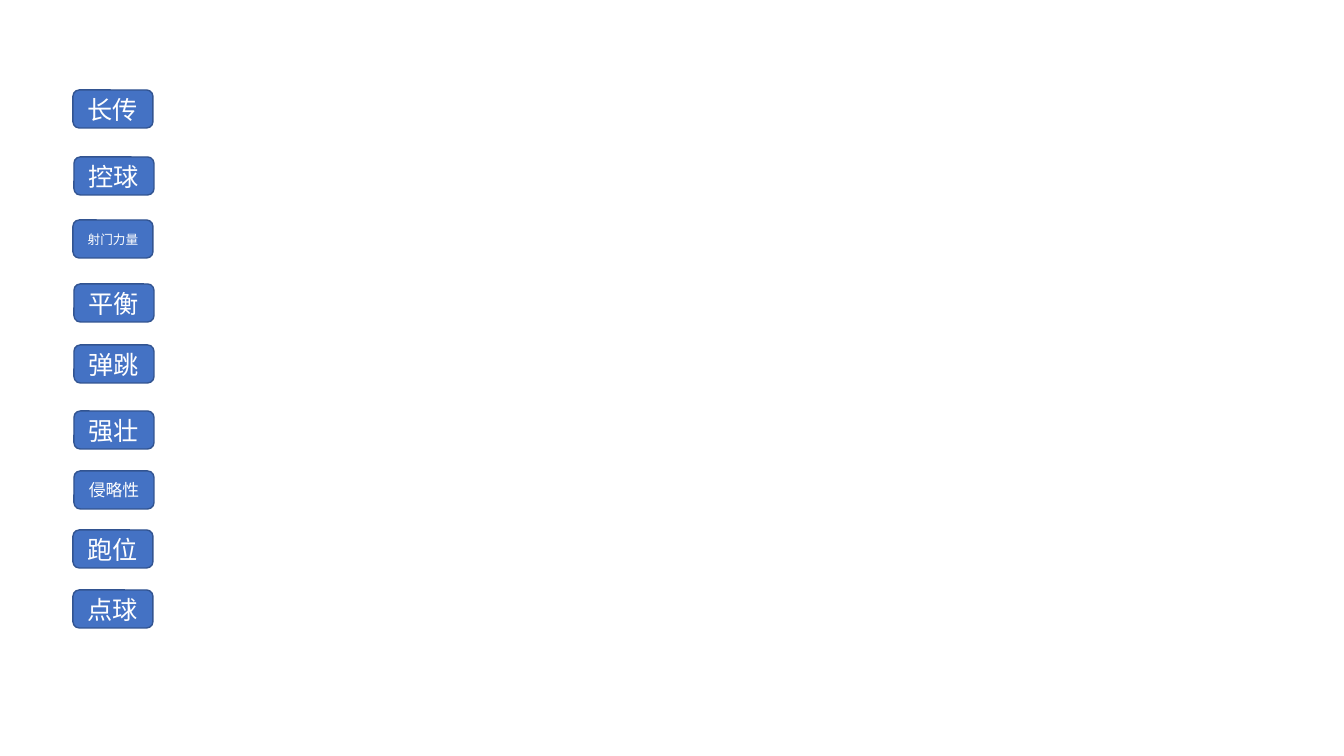
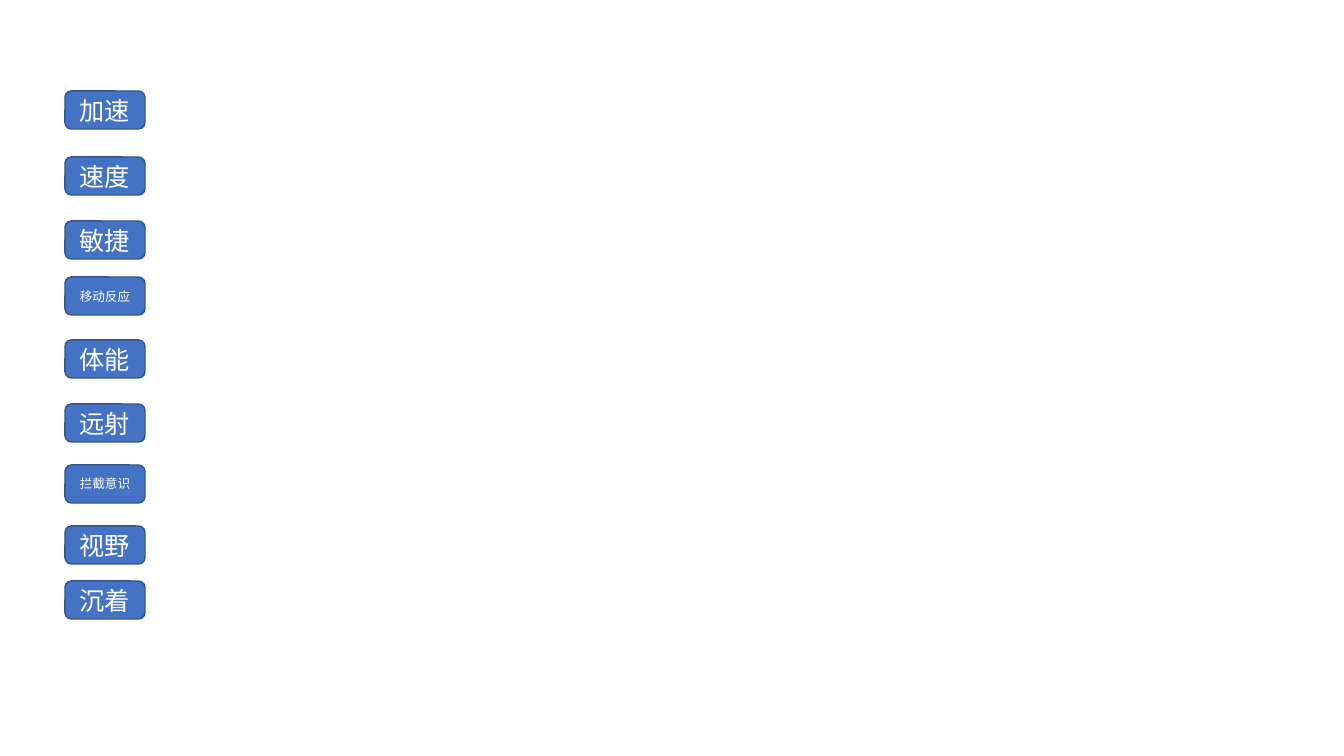
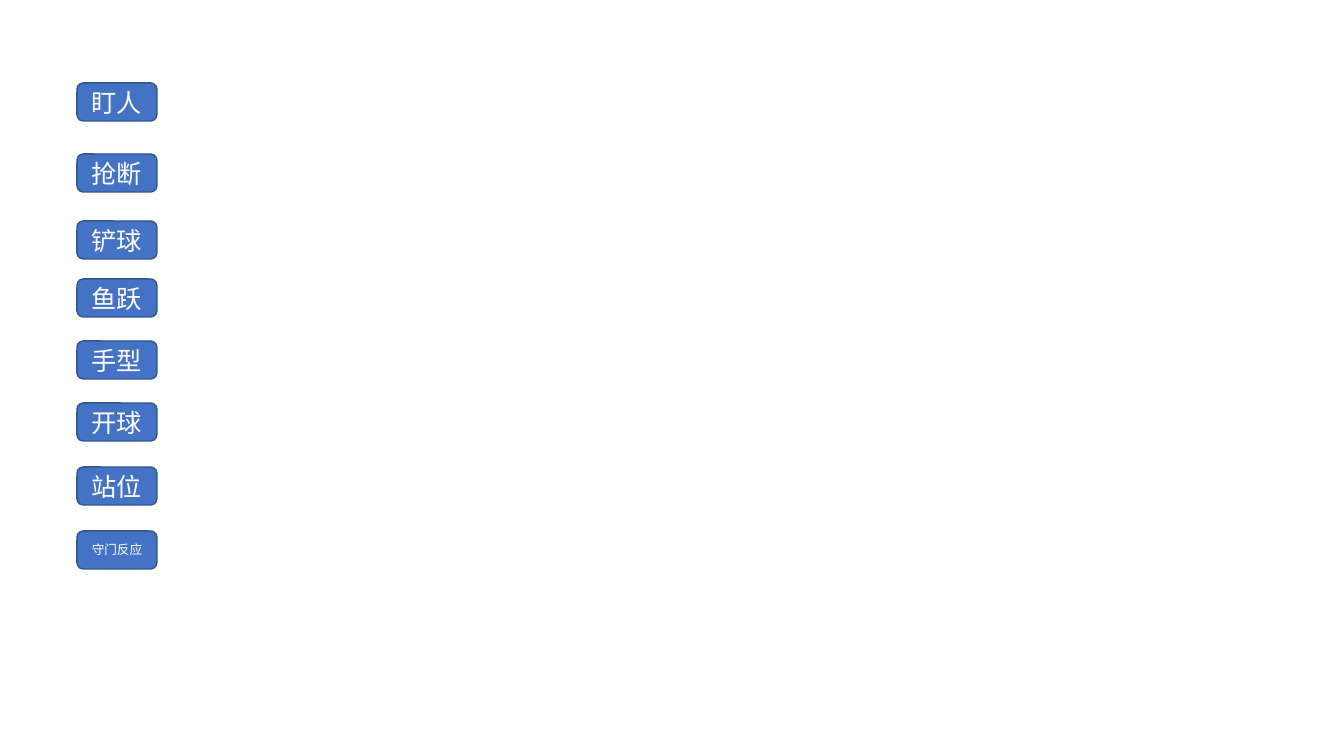
from dataclasses import dataclass

from lxml import etree
from pptx import Presentation
from pptx.dml.color import RGBColor
from pptx.enum.shapes import MSO_SHAPE
from pptx.enum.text import MSO_ANCHOR, PP_ALIGN
from pptx.oxml.ns import qn
from pptx.util import Pt

ROUND = MSO_SHAPE.ROUNDED_RECTANGLE
MIDDLE = MSO_ANCHOR.MIDDLE
CENTER = PP_ALIGN.CENTER
SCALE = 914400 / 100.8
WIDE, HIGH = 80, 38


@dataclass(frozen=True)
class Theme:
    """Colours, font and type sizes shared by all slides."""
    fill: RGBColor = RGBColor(0x44, 0x72, 0xC4)
    edge: RGBColor = RGBColor(0x32, 0x54, 0x91)
    text: RGBColor = RGBColor(0xFF, 0xFF, 0xFF)
    font: str = "Noto Sans CJK SC"
    line: int = 1
    sizes: tuple = ((2, 18), (3, 12), (4, 9))  # label length, points


THEME = Theme()
SIZES = dict(THEME.sizes)


def emu(px):
    """Turn pixels into EMU."""
    return round(px * SCALE)


def add_skill(slide, label, left, top):
    """Add one skill button, its type sized to the label length."""
    button = slide.shapes.add_shape(
        ROUND, emu(left), emu(top), emu(WIDE), emu(HIGH))
    button.shadow.inherit = False
    button.fill.solid()
    button.fill.fore_color.rgb = THEME.fill
    button.line.color.rgb = THEME.edge
    button.line.width = Pt(THEME.line)
    frame = button.text_frame
    frame.word_wrap = True
    frame.vertical_anchor = MIDDLE
    para = frame.paragraphs[0]
    para.alignment = CENTER
    run = para.add_run()
    run.text = label
    font = run.font
    font.size = Pt(SIZES[len(label)])
    font.color.rgb = THEME.text
    font.name = THEME.font
    east = etree.SubElement(run._r.get_or_add_rPr(), qn("a:ea"))
    east.set("typeface", THEME.font)


# Each slide is one column of skills: label, left, top
BALL = (
    ("长传", 73, 90), ("控球", 74, 157), ("射门力量", 73, 220),
    ("平衡", 74, 284), ("弹跳", 74, 345), ("强壮", 74, 411),
    ("侵略性", 74, 471), ("跑位", 73, 530), ("点球", 73, 590),
)
PACE = (
    ("加速", 65, 91), ("速度", 65, 157), ("敏捷", 65, 221),
    ("移动反应", 65, 277), ("体能", 65, 340), ("远射", 65, 404),
    ("拦截意识", 65, 465), ("视野", 65, 526), ("沉着", 65, 581),
)
GUARD = (
    ("盯人", 77, 83), ("抢断", 77, 154), ("铲球", 77, 221),
    ("鱼跃", 77, 279), ("手型", 77, 341), ("开球", 77, 403),
    ("站位", 77, 467), ("守门反应", 77, 531),
)

deck = Presentation()
deck.slide_width, deck.slide_height = emu(1344), emu(756)
blank = deck.slide_layouts[6]

for skills in (BALL, PACE, GUARD):
    slide = deck.slides.add_slide(blank)
    for label, left, top in skills:
        add_skill(slide, label, left, top)

deck.save("out.pptx")
